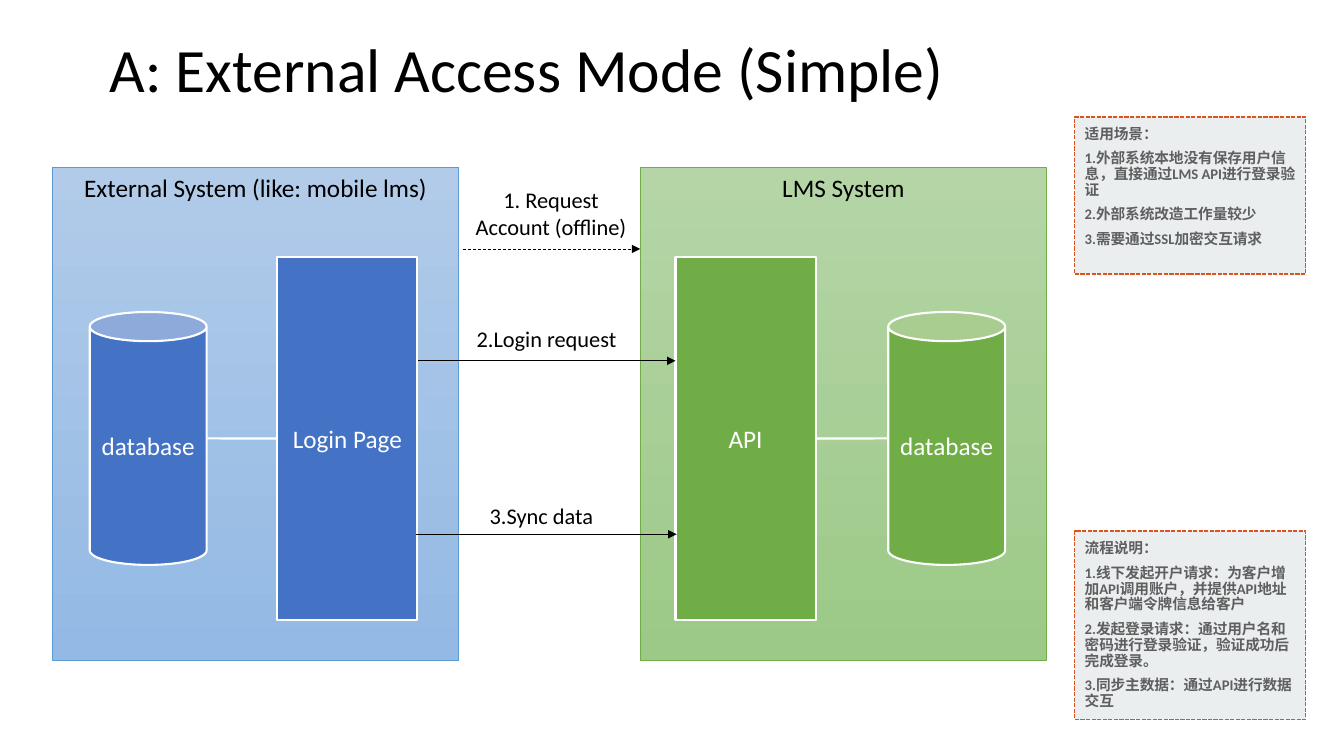
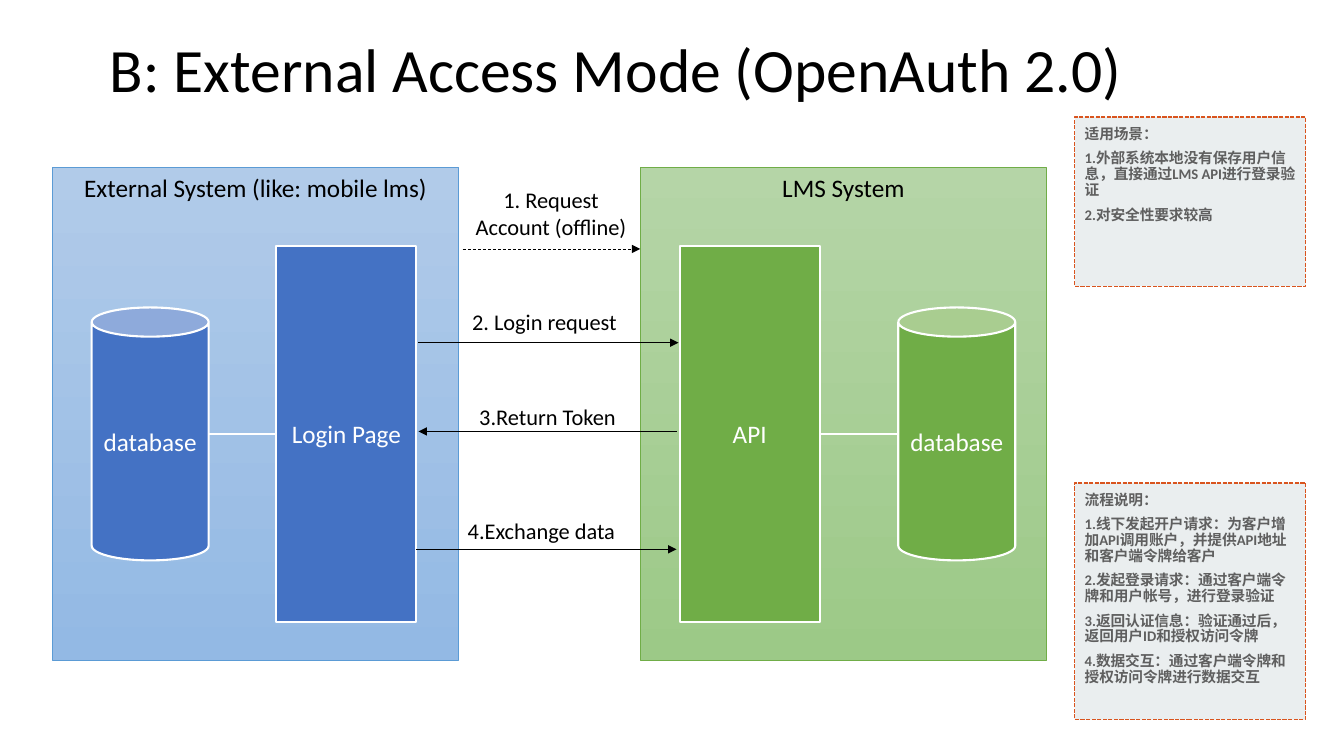
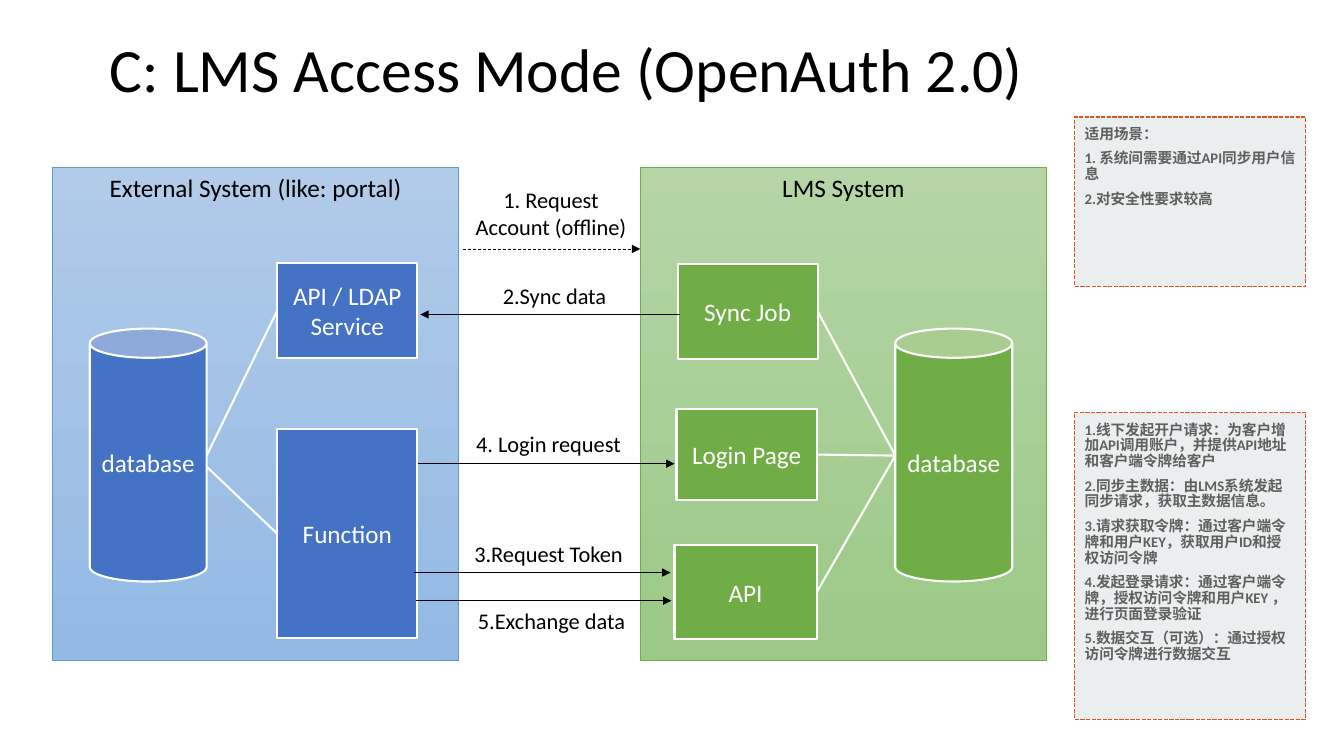
from lxml import etree
from pptx import Presentation
from pptx.dml.color import RGBColor
from pptx.enum.dml import MSO_LINE
from pptx.enum.shapes import MSO_CONNECTOR, MSO_SHAPE
from pptx.enum.text import MSO_ANCHOR, PP_ALIGN
from pptx.oxml.ns import qn
from pptx.util import Inches, Pt

RECTANGLE, CAN = MSO_SHAPE.RECTANGLE, MSO_SHAPE.CAN
STRAIGHT = MSO_CONNECTOR.STRAIGHT
DASH, SYSTEM_DASH = MSO_LINE.DASH, MSO_LINE.SQUARE_DOT
LEFT, CENTER = PP_ALIGN.LEFT, PP_ALIGN.CENTER
TOP, MIDDLE = MSO_ANCHOR.TOP, MSO_ANCHOR.MIDDLE
LEFT_SITE, RIGHT_SITE = 1, 3

FONT = "Calibri"
BLACK, WHITE = "000000", "FFFFFF"
BLUE, GREEN = "4472C4", "70AD47"
BLUE_PANEL, GREEN_PANEL = ("B1CBE9", "93B9E4"), ("B5D5A7", "9CC987")
BLUE_EDGE = "5B9BD5"
NOTE_FILL, NOTE_EDGE, NOTE_TEXT = "EAEEEF", "D9541E", "5F5F5F"

PANEL_TOP, PANEL_WIDTH, PANEL_HEIGHT = 1.66, 4.03, 4.89
EXTERNAL_LEFT, LMS_LEFT = 0.52, 6.35
BOX_WIDTH = 1.39
DATABASE_WIDTH, DATABASE_HEIGHT = 1.16, 2.51
NOTE_LEFT, NOTE_WIDTH = 10.66, 2.29
SCENARIO_TOP, PROCESS_BOTTOM = 1.16, 7.14


def color(hex_string):
    return RGBColor.from_string(hex_string)


def write_text(shape, text, size=18, text_color=WHITE, bold=False, align=CENTER,
               anchor=MIDDLE, line_spacing=None, space_before=None):
    """Fill the shape with text, one paragraph for each line."""
    frame = shape.text_frame
    frame.text = text
    frame.word_wrap = True
    frame.vertical_anchor = anchor
    for paragraph in frame.paragraphs:
        paragraph.alignment = align
        paragraph.line_spacing = line_spacing
        paragraph.space_before = space_before
        font = paragraph.runs[0].font
        font.name, font.size, font.bold = FONT, Pt(size), bold
        font.color.rgb = color(text_color)


def add_block(slide, kind, left, top, width, height, fill, edge=WHITE, weight=1.5):
    """Add a preset shape; a pair of fill colours gives a vertical gradient."""
    shape = slide.shapes.add_shape(
        kind, Inches(left), Inches(top), Inches(width), Inches(height))
    shape.shadow.inherit = False
    if isinstance(fill, tuple):
        shape.fill.gradient()
        shape.fill.gradient_angle = 270
        for stop, stop_color in zip(shape.fill.gradient_stops, fill):
            stop.color.rgb = color(stop_color)
    else:
        shape.fill.solid()
        shape.fill.fore_color.rgb = color(fill)
    shape.line.color.rgb = color(edge)
    shape.line.width = Pt(weight)
    return shape


def add_panel(slide, left, heading, fill, edge):
    panel = add_block(slide, RECTANGLE, left, PANEL_TOP, PANEL_WIDTH, PANEL_HEIGHT,
                      fill, edge, 0.5)
    write_text(panel, heading, text_color=BLACK, anchor=TOP)


def add_box(slide, left, top, height, fill, text, width=BOX_WIDTH):
    box = add_block(slide, RECTANGLE, left, top, width, height, fill)
    write_text(box, text)
    return box


def add_database(slide, left, top, fill):
    database = add_block(slide, CAN, left, top, DATABASE_WIDTH, DATABASE_HEIGHT, fill)
    write_text(database, "database")


def add_note(slide, top, height, text):
    note = add_block(slide, RECTANGLE, NOTE_LEFT, top, NOTE_WIDTH, height,
                     NOTE_FILL, NOTE_EDGE, 1)
    note.line.dash_style = SYSTEM_DASH
    write_text(note, text, size=10.5, text_color=NOTE_TEXT, bold=True, align=LEFT,
               anchor=TOP, line_spacing=0.9, space_before=Pt(6))
    note.text_frame.margin_top = note.text_frame.margin_bottom = Inches(0.1)


def add_notes(slide, scenario_height, scenario, process_top, process):
    add_note(slide, SCENARIO_TOP, scenario_height, "适用场景：\n" + scenario)
    add_note(slide, process_top, PROCESS_BOTTOM - process_top, process)


def add_line(slide, start, end, line_color, weight):
    connector = slide.shapes.add_connector(
        STRAIGHT, *(Inches(length) for length in (*start, *end)))
    connector.line.color.rgb = color(line_color)
    connector.line.width = Pt(weight)
    etree.SubElement(connector._element.spPr, qn("a:effectLst"))
    return connector


def add_link(slide, start, box, site):
    """Join a point on a database's side to the middle of a box's side."""
    connector = add_line(slide, start, start, WHITE, 1.5)
    connector.end_connect(box, site)


def add_arrow(slide, start_x, end_x, y, dash=None):
    connector = add_line(slide, (start_x, y), (end_x, y), BLACK, 0.5)
    if dash:
        connector.line.dash_style = dash
    line = connector._element.spPr.find(qn("a:ln"))
    etree.SubElement(line, qn("a:tailEnd"), type="triangle")


def add_label(slide, left, top, text, width=1.78, height=0.37):
    label = slide.shapes.add_textbox(
        Inches(left), Inches(top), Inches(width), Inches(height))
    write_text(label, text, size=16, text_color=BLACK, anchor=TOP)


def add_steps(slide, steps):
    """Draw each step: label text, label left and top, arrow start, end and y."""
    for text, left, top, start_x, end_x, y in steps:
        add_arrow(slide, start_x, end_x, y)
        add_label(slide, left, top, text)


def start_slide(presentation, title, external_heading):
    """Add a slide with the title, both system panels and the offline request."""
    slide = presentation.slides.add_slide(presentation.slide_layouts[5])
    heading = slide.shapes.title
    heading.left, heading.top = Inches(0.99), Inches(-0.01)
    heading.width, heading.height = Inches(11.5), Inches(1.45)
    write_text(heading, title, size=44, text_color=BLACK, align=LEFT, line_spacing=0.9)
    add_panel(slide, LMS_LEFT, "LMS System", GREEN_PANEL, GREEN)
    add_panel(slide, EXTERNAL_LEFT, external_heading, BLUE_PANEL, BLUE_EDGE)
    add_arrow(slide, 4.59, LMS_LEFT, 2.47, DASH)
    add_label(slide, 4.59, 1.8, "1. Request Account (offline)", 1.75, 0.64)
    return slide


def external_slide(presentation, title, box_top, box_height, login_left, api_left,
                   database_lefts, steps):
    """Add a slide where a login page of the external system calls the API."""
    slide = start_slide(presentation, title, "External System (like: mobile lms)")
    login_page = add_box(slide, login_left, box_top, box_height, BLUE, "Login Page")
    api = add_box(slide, api_left, box_top, box_height, GREEN, "API")
    middle = box_top + box_height / 2
    external_left, lms_left = database_lefts
    for left, fill in zip(database_lefts, (BLUE, GREEN)):
        add_database(slide, left, middle - DATABASE_HEIGHT / 2, fill)
    add_link(slide, (external_left + DATABASE_WIDTH, middle), login_page, LEFT_SITE)
    add_link(slide, (lms_left, middle), api, RIGHT_SITE)
    add_steps(slide, steps)
    return slide


def simple_slide(presentation):
    slide = external_slide(
        presentation, "A: External Access Mode (Simple)", 2.55, 3.6, 2.75, 6.7,
        (0.89, 8.81),
        [("2.Login request", 4.53, 3.18, 4.15, 6.7, 3.58),
         ("3.Sync data", 4.48, 4.93, 4.13, 6.71, 5.3)])
    add_notes(
        slide, 1.56,
        "1.外部系统本地没有保存用户信息，直接通过LMS API进行登录验证\n"
        "2.外部系统改造工作量较少\n"
        "3.需要通过SSL加密交互请求",
        5.27,
        "流程说明：\n"
        "1.线下发起开户请求：为客户增加API调用账户，并提供API地址和客户端令牌信息给客户\n"
        "2.发起登录请求：通过用户名和密码进行登录验证，验证成功后完成登录。\n"
        "3.同步主数据：通过API进行数据交互")


def token_slide(presentation):
    slide = external_slide(
        presentation, "B: External Access Mode (OpenAuth 2.0)", 2.44, 3.73, 2.74, 6.74,
        (0.91, 8.91),
        [("2. Login request", 4.51, 3.01, 4.15, 6.73, 3.4),
         ("3.Return Token", 4.54, 3.95, 6.71, 4.15, 4.28),
         ("4.Exchange data", 4.48, 5.08, 4.13, 6.71, 5.45)])
    add_notes(
        slide, 1.68,
        "1.外部系统本地没有保存用户信息，直接通过LMS API进行登录验证\n"
        "2.对安全性要求较高",
        4.79,
        "流程说明：\n"
        "1.线下发起开户请求：为客户增加API调用账户，并提供API地址和客户端令牌给客户\n"
        "2.发起登录请求：通过客户端令牌和用户帐号，进行登录验证\n"
        "3.返回认证信息：验证通过后，返回用户ID和授权访问令牌\n"
        "4.数据交互：通过客户端令牌和授权访问令牌进行数据交互")


def lms_slide(presentation):
    slide = start_slide(presentation, "C: LMS Access Mode (OpenAuth 2.0)",
                        "External System (like: portal)")
    service = add_box(slide, 2.75, 2.61, 0.94, BLUE, "API / LDAP Service")
    function_box = add_box(slide, 2.75, 4.26, 2.07, BLUE, "Function")
    lms_boxes = [add_box(slide, 6.72, 2.62, 0.94, GREEN, "Sync Job"),
                 add_box(slide, 6.71, 4.06, 0.9, GREEN, "Login Page"),
                 add_box(slide, 6.69, 5.41, 0.93, GREEN, "API", 1.41)]
    add_database(slide, 0.89, 3.26, BLUE)
    add_database(slide, 8.88, 3.26, GREEN)
    add_link(slide, (2.05, 4.52), service, LEFT_SITE)
    add_link(slide, (2.05, 4.63), function_box, LEFT_SITE)
    for box in lms_boxes:
        add_link(slide, (8.88, 4.52), box, RIGHT_SITE)
    add_steps(slide, [
        ("2.Sync data", 4.61, 2.75, 6.74, 4.17, 3.12),
        ("4. Login request", 4.55, 4.22, 4.15, 6.69, 4.6),
        ("3.Request Token", 4.55, 5.31, 4.11, 6.65, 5.68),
        ("5.Exchange data", 4.58, 5.97, 4.13, 6.66, 5.96)])
    add_notes(
        slide, 1.68,
        "1. 系统间需要通过API同步用户信息\n"
        "2.对安全性要求较高",
        4.09,
        "1.线下发起开户请求：为客户增加API调用账户，并提供API地址和客户端令牌给客户\n"
        "2.同步主数据：由LMS系统发起同步请求，获取主数据信息。\n"
        "3.请求获取令牌：通过客户端令牌和用户KEY，获取用户ID和授权访问令牌\n"
        "4.发起登录请求：通过客户端令牌，授权访问令牌和用户KEY ，进行页面登录验证\n"
        "5.数据交互（可选）：通过授权访问令牌进行数据交互")


def main():
    presentation = Presentation()
    presentation.slide_width, presentation.slide_height = Inches(13.33), Inches(7.5)
    simple_slide(presentation)
    token_slide(presentation)
    lms_slide(presentation)
    presentation.save("out.pptx")


if __name__ == "__main__":
    main()
